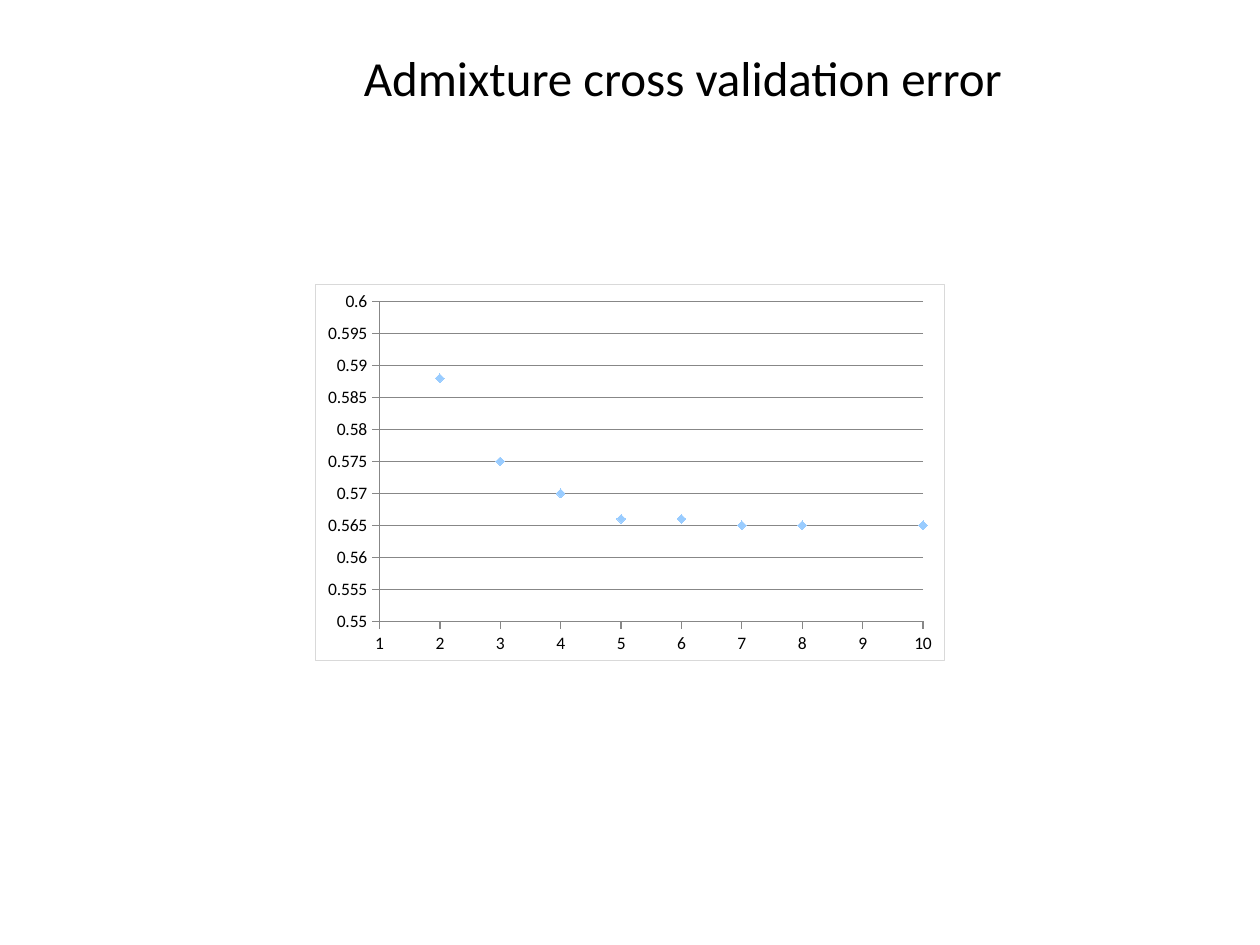
"""Build a slide with a scatter chart of Admixture cross validation error."""
from lxml import etree
from pptx import Presentation
from pptx.chart.data import XyChartData
from pptx.dml.color import RGBColor
from pptx.enum.chart import XL_CHART_TYPE, XL_MARKER_STYLE, XL_TICK_MARK
from pptx.enum.text import MSO_ANCHOR, MSO_AUTO_SIZE, PP_ALIGN
from pptx.util import Inches, Pt

SCATTER = XL_CHART_TYPE.XY_SCATTER
DIAMOND = XL_MARKER_STYLE.DIAMOND
OUT, NONE = XL_TICK_MARK.OUTSIDE, XL_TICK_MARK.NONE
TOP, CENTER = MSO_ANCHOR.TOP, PP_ALIGN.CENTER
GROW = MSO_AUTO_SIZE.SHAPE_TO_FIT_TEXT
COLORS = {"text": "000000", "axis": "878787", "edge": "D9D9D9",
          "plot": "FFFFFF", "mark": "99CCFF"}
ERRORS = {1: 0.603, 2: 0.588, 3: 0.575, 4: 0.57, 5: 0.566,
          6: 0.566, 7: 0.565, 8: 0.565, 10: 0.565}
NS = ('xmlns:c="http://schemas.openxmlformats.org/drawingml/2006/chart" '
      'xmlns:a="http://schemas.openxmlformats.org/drawingml/2006/main"')


def put_text(shape, text, size, color, font="Calibri", align=CENTER):
    frame = shape.text_frame
    frame.text = text
    frame.word_wrap = True
    frame.auto_size = GROW
    frame.vertical_anchor = TOP
    para = frame.paragraphs[0]
    para.alignment = align
    para.font.name = font
    para.font.size = Pt(size)
    para.font.color.rgb = RGBColor.from_string(COLORS[color])


def make_fill(fill, line):
    return etree.fromstring(
        f'<c:spPr {NS}><a:solidFill><a:srgbClr val="{COLORS["plot"]}"/></a:solidFill>'
        f'<a:ln w="{Pt(0.75)}">{line}</a:ln></c:spPr>')


prs = Presentation()
prs.slide_width, prs.slide_height = Inches(10), Inches(7.5)
slide = prs.slides.add_slide(prs.slide_layouts[5])

data = XyChartData()
series = data.add_series("Series 1")
for k, error in ERRORS.items():
    series.add_data_point(k, error)
chart = slide.shapes.add_chart(
    SCATTER, Inches(2.5), Inches(2.25), Inches(5), Inches(3), data).chart
chart.has_legend = False
chart.has_title = False
chart.font.name = "Arial"
chart.font.size = Pt(10)

axes = [(chart.category_axis, 1, 10, 1, False),
        (chart.value_axis, 0.55, 0.6, 0.005, True)]
for axis, low, high, step, grid in axes:
    axis.minimum_scale, axis.maximum_scale = low, high
    axis.major_unit = step
    axis.has_major_gridlines = grid
    axis.major_tick_mark, axis.minor_tick_mark = OUT, NONE
    axis.tick_labels.number_format = "General"
    axis.tick_labels.number_format_is_linked = False
    font = axis.tick_labels.font
    font.name, font.size = "Calibri", Pt(10)
    font.color.rgb = RGBColor.from_string(COLORS["text"])
    lines = [axis.format.line]
    if grid:
        lines.append(axis.major_gridlines.format.line)
    for line in lines:
        line.color.rgb = RGBColor.from_string(COLORS["axis"])
        line.width = Pt(0.75)

plot = chart.plots[0]
plot.vary_by_categories = False
dots = plot.series[0]
dots.format.line.fill.background()
dots.marker.style, dots.marker.size = DIAMOND, 5
dots.marker.format.fill.solid()
dots.marker.format.fill.fore_color.rgb = RGBColor.from_string(COLORS["mark"])
dots.marker.format.line.fill.background()

body = chart.element.chart
edge = f'<a:solidFill><a:srgbClr val="{COLORS["edge"]}"/></a:solidFill>'
body.addnext(make_fill("plot", edge))
body.plotArea.append(make_fill("plot", "<a:noFill/>"))

title = slide.shapes.title
title.left, title.top = Inches(1.92), Inches(0.33)
title.width, title.height = Inches(7), Inches(0.57)
put_text(title, "Admixture cross validation error", size=28, color="text")

prs.save("out.pptx")
